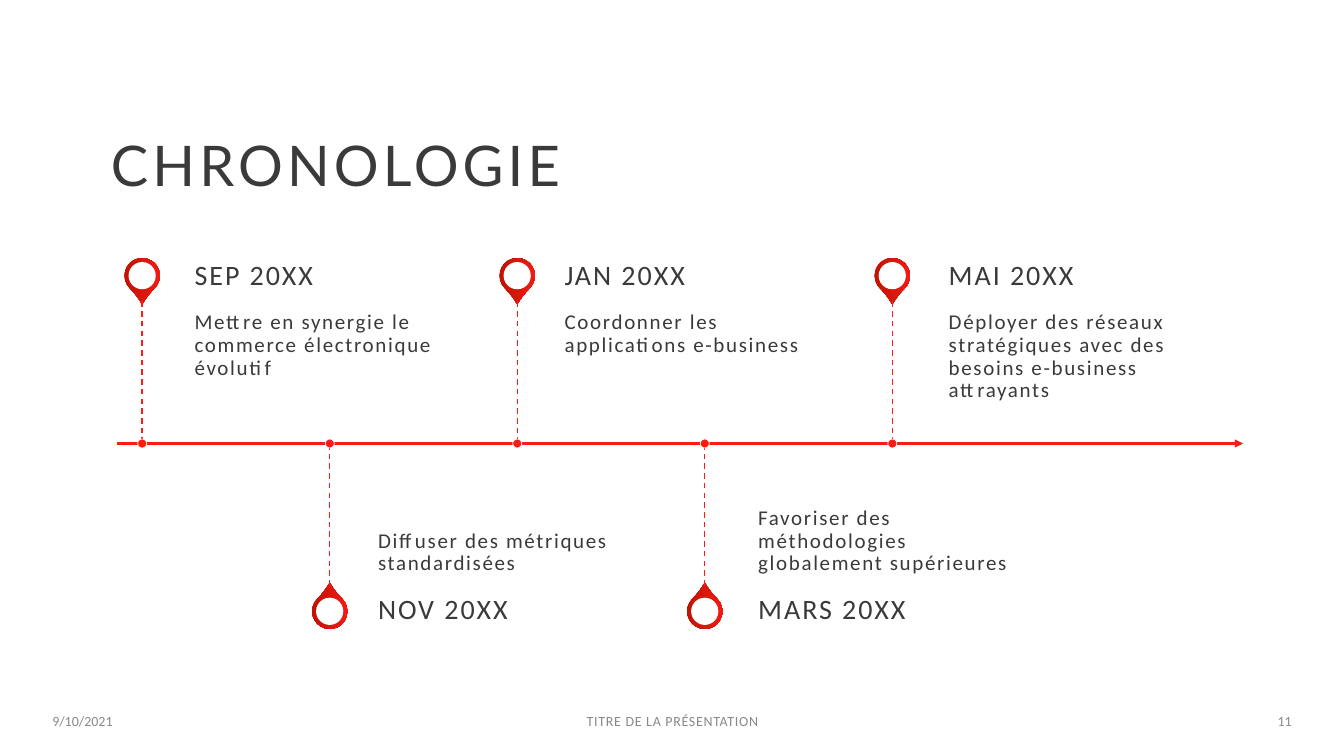
from dataclasses import dataclass

from lxml import etree
from pptx import Presentation
from pptx import util as u
from pptx.dml.color import RGBColor
from pptx.enum import dml, shapes, text
from pptx.oxml import ns


@dataclass(frozen=True)
class Theme:
    ink: RGBColor = RGBColor(0x3A, 0x3A, 0x3A)
    grey: RGBColor = RGBColor(0x89, 0x89, 0x89)
    red: RGBColor = RGBColor(0xFD, 0x1B, 0x17)
    dark_red: RGBColor = RGBColor(0xB5, 0x12, 0x00)
    white: RGBColor = RGBColor(0xFF, 0xFF, 0xFF)
    title_font: str = "Lato"
    body_font: str = "Calibri"
    title_size: float = 40
    date_size: float = 20
    task_size: float = 15
    footer_size: float = 10


@dataclass(frozen=True)
class Milestone:
    date: str
    task: str
    left: float
    width: float


@dataclass(frozen=True)
class FooterPart:
    words: str
    left: float
    width: float
    align: text.PP_ALIGN
    spacing: float = 0


@dataclass(frozen=True)
class Style:
    size: float
    colour: RGBColor
    font: str
    spacing: float = 0
    line_spacing: float = 1.0
    align: text.PP_ALIGN = text.PP_ALIGN.LEFT
    anchor: text.MSO_ANCHOR = text.MSO_ANCHOR.MIDDLE
    insets: tuple[float, float, float, float] = (0.1, 0.05, 0.1, 0.05)


THEME = Theme()
AXIS_Y = 4.4
FIRST_X, STEP_X = 1.41, 1.86
DATE_HEIGHT, TASK_HEIGHT = 0.5, 1.41
PIN_SIZE, HOLE_SIZE, DOT_SIZE = 0.35, 0.27, 0.09
PIN_REACH = 1.665

MILESTONES = [
    Milestone("SEP 20XX", "Mettre en synergie le commerce électronique évolutif", 1.93, 2.54),
    Milestone("NOV 20XX", "Diffuser des métriques standardisées", 3.75, 2.63),
    Milestone("JAN 20XX", "Coordonner les applications e-business", 5.6, 2.59),
    Milestone("MARS 20XX", "Favoriser des méthodologies globalement supérieures", 7.52, 2.53),
    Milestone("MAI 20XX", "Déployer des réseaux stratégiques avec des besoins e-business attrayants",
              9.41, 2.53),
]
FOOTER = [
    FooterPart("9/10/2021", 0.42, 1.89, text.PP_ALIGN.LEFT),
    FooterPart("TITRE DE LA PRÉSENTATION", 4.42, 4.5, text.PP_ALIGN.CENTER, 0.5),
    FooterPart("11", 11.23, 1.68, text.PP_ALIGN.RIGHT),
]


def write(shape, words: str, style: Style) -> None:
    frame = shape.text_frame
    frame.word_wrap = True
    frame.auto_size = text.MSO_AUTO_SIZE.NONE
    frame.vertical_anchor = style.anchor
    (frame.margin_left, frame.margin_top,
     frame.margin_right, frame.margin_bottom) = map(u.Inches, style.insets)
    paragraph = frame.paragraphs[0]
    paragraph.alignment = style.align
    paragraph.line_spacing = style.line_spacing
    run = paragraph.add_run()
    run.text = words
    run.font.name = style.font
    run.font.size = u.Pt(style.size)
    run.font.color.rgb = style.colour
    if style.spacing:
        run.font._element.set("spc", str(round(style.spacing * 100)))


def add_text(slide, left: float, top: float, width: float, height: float,
             words: str, style: Style) -> None:
    box = slide.shapes.add_textbox(*map(u.Inches, (left, top, width, height)))
    write(box, words, style)


def add_line(slide, start: tuple[float, float], end: tuple[float, float], weight: float):
    line = slide.shapes.add_connector(
        shapes.MSO_CONNECTOR.STRAIGHT, *map(u.Inches, start + end))
    line.line.color.rgb = THEME.red
    line.line.width = u.Pt(weight)
    etree.SubElement(line._element.spPr, ns.qn("a:effectLst"))
    return line


def add_centred(slide, kind: shapes.MSO_SHAPE, x: float, y: float, size: float,
                colour: RGBColor):
    """Add a borderless square-framed shape centred on (x, y)."""
    shape = slide.shapes.add_shape(
        kind, *map(u.Inches, (x - size / 2, y - size / 2, size, size)))
    shape.shadow.inherit = False
    shape.fill.solid()
    shape.fill.fore_color.rgb = colour
    shape.line.fill.background()
    return shape


def add_pin(slide, x: float, y: float, rotation: float) -> None:
    pin = add_centred(slide, shapes.MSO_SHAPE.TEAR, x, y, PIN_SIZE, THEME.red)
    pin.adjustments[0] = 1.15
    pin.rotation = rotation
    pin.fill.gradient()
    pin.fill.gradient_angle = 0
    for stop, colour, position in zip(
            pin.fill.gradient_stops, (THEME.dark_red, THEME.red), (0, 1)):
        stop.color.rgb = colour
        stop.position = position
    pin._element.spPr.find(ns.qn("a:gradFill")).set("rotWithShape", "0")
    add_centred(slide, shapes.MSO_SHAPE.OVAL, x, y, HOLE_SIZE, THEME.white)


def add_milestone(slide, index: int, milestone: Milestone) -> None:
    """Even positions stand above the axis, odd ones hang below it."""
    x = FIRST_X + index * STEP_X
    above = index % 2 == 0
    side = -1 if above else 1
    add_pin(slide, x, AXIS_Y + side * PIN_REACH, 135 if above else 315)

    task_top = AXIS_Y - TASK_HEIGHT if above else AXIS_Y
    date_top = task_top - DATE_HEIGHT if above else task_top + TASK_HEIGHT
    task_style = Style(
        THEME.task_size, THEME.ink, THEME.body_font, 1.2, 0.9,
        anchor=text.MSO_ANCHOR.TOP if above else text.MSO_ANCHOR.BOTTOM,
        insets=(0, 0.1, 0.1, 0.16) if above else (0, 0.16, 0, 0.1))
    date_style = Style(THEME.date_size, THEME.ink, THEME.body_font, 1.4, 0.9,
                       insets=(0, 0, 0.14, 0))
    add_text(slide, milestone.left, task_top, milestone.width, TASK_HEIGHT,
             milestone.task, task_style)
    add_text(slide, milestone.left, date_top, milestone.width, DATE_HEIGHT,
             milestone.date, date_style)

    stem = add_line(slide, (x, AXIS_Y + side * TASK_HEIGHT), (x, AXIS_Y), 1)
    stem.line.dash_style = dml.MSO_LINE.DASH
    dot = add_centred(slide, shapes.MSO_SHAPE.OVAL, x, AXIS_Y, DOT_SIZE, THEME.red)
    dot.line.color.rgb = THEME.white
    dot.line.width = u.Pt(0.5)


def main() -> None:
    deck = Presentation()
    deck.slide_width, deck.slide_height = u.Inches(13.33), u.Inches(7.5)
    slide = deck.slides.add_slide(deck.slide_layouts[5])

    title = slide.shapes.title
    title.left, title.top, title.width, title.height = map(u.Inches, (1, 1.08, 9.24, 1.18))
    write(title, "CHRONOLOGIE",
          Style(THEME.title_size, THEME.ink, THEME.title_font, 3, 0.9))

    axis = add_line(slide, (1.16, AXIS_Y), (12.33, AXIS_Y), 1.5)
    etree.SubElement(axis.line._get_or_add_ln(), ns.qn("a:tailEnd"), type="triangle")

    for index, milestone in enumerate(MILESTONES):
        add_milestone(slide, index, milestone)
    for part in FOOTER:
        add_text(slide, part.left, 6.95, part.width, 0.4, part.words,
                 Style(THEME.footer_size, THEME.grey, THEME.body_font,
                       part.spacing, align=part.align))
    deck.save("out.pptx")


if __name__ == "__main__":
    main()
